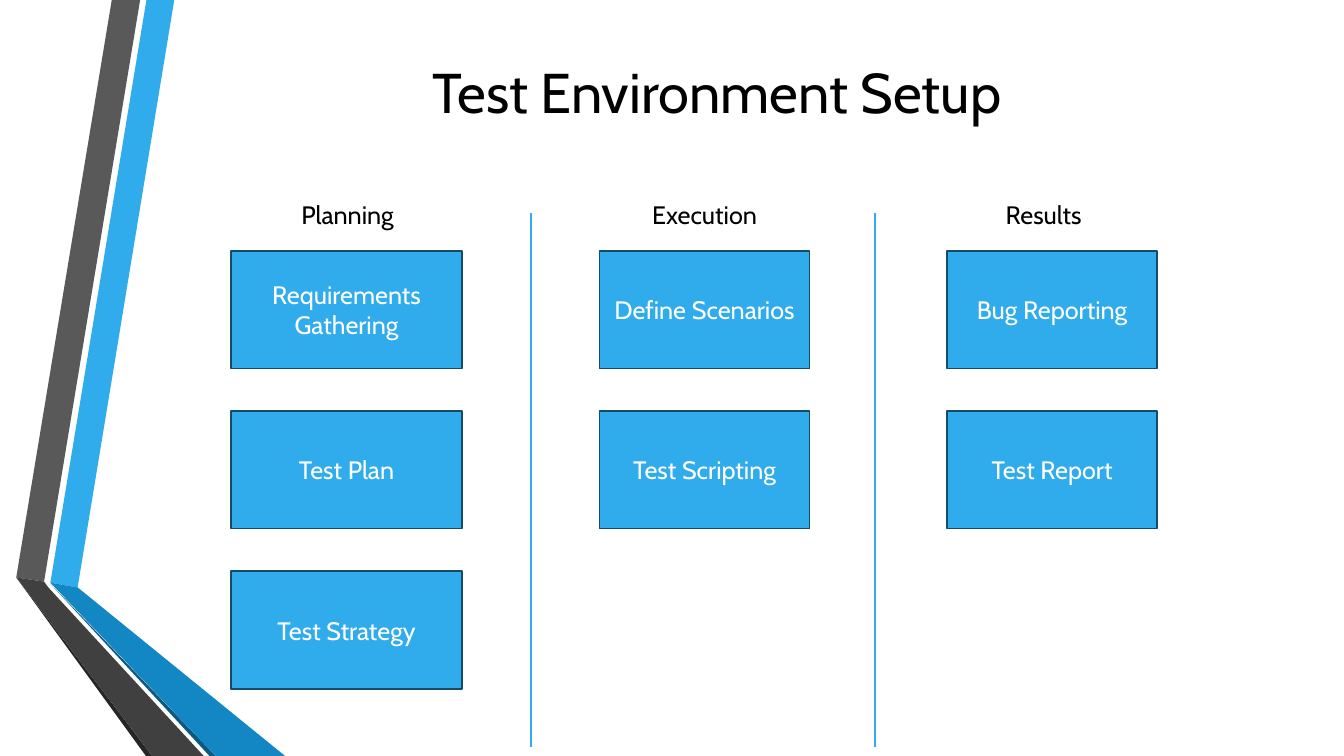
from pptx import Presentation
from pptx.dml.color import RGBColor
from pptx.enum.shapes import MSO_CONNECTOR, MSO_SHAPE
from pptx.enum.text import MSO_ANCHOR, PP_ALIGN
from pptx.oxml.ns import qn
from pptx.util import Emu, Pt
from lxml import etree

RECT = MSO_SHAPE.RECTANGLE
LINE = MSO_CONNECTOR.STRAIGHT
MIDDLE = MSO_ANCHOR.MIDDLE
CENTER = PP_ALIGN.CENTER

BLUE = RGBColor(0x30, 0xAC, 0xEC)
DEEP = RGBColor(0x12, 0x87, 0xC3)
NAVY = RGBColor(0x0C, 0x5A, 0x82)
EDGE = RGBColor(0x15, 0x4B, 0x67)
GREY = RGBColor(0x59, 0x59, 0x59)
COAL = RGBColor(0x40, 0x40, 0x40)
DARK = RGBColor(0x26, 0x26, 0x26)
BLACK = RGBColor(0, 0, 0)
WHITE = RGBColor(0xFF, 0xFF, 0xFF)

COLS, ROWS, UNIT = 128, 72, 95250

RIBBONS = [
    (BLUE, [(4.8, 55.5), (7.4, 55.95), (16.6, 0), (13.95, 0)]),
    (GREY, [(13.35, 0), (10.65, 0), (1.55, 55), (4.2, 55.4)]),
    (DARK, [(1.55, 55), (13.9, 72), (14.5, 72)]),
    (NAVY, [(4.8, 55.6), (19.95, 72), (20.55, 72)]),
    (DEEP, [(4.8, 55.5), (20.55, 72), (27.15, 72), (7.4, 55.95)]),
    (COAL, [(19.4, 72), (4.6, 55.95), (4.2, 55.4), (1.55, 55), (14.5, 72)]),
]

PHASES = [
    ("Planning", 33.1, 22, 22,
     ["Requirements Gathering", "Test Plan", "Test Strategy"]),
    ("Execution", 67.1, 57.1, 20, ["Define Scenarios", "Test Scripting"]),
    ("Results", 99.4, 90.2, 20, ["Bug Reporting", "Test Report"]),
]
RULES = [50.6, 83.35]
BOX_TOP, BOX_HIGH, BOX_STEP = 23.9, 11.2, 15.25


class Board:
    """Draws styled elements on one slide, measured in grid columns and rows."""

    def __init__(self, deck, font="Cabin", weight=1.25):
        self.slide = deck.slides.add_slide(deck.slide_layouts[5])
        self.shapes = self.slide.shapes
        self.font = font
        self.weight = Pt(weight)

    def grid(self, *units):
        return [Emu(round(unit * UNIT)) for unit in units]

    def letter(self, shape, text, size, color):
        frame = shape.text_frame
        frame.text = text
        frame.vertical_anchor = MIDDLE
        for par in frame.paragraphs:
            par.alignment = CENTER
            for run in par.runs:
                run.font.name = self.font
                run.font.size = Pt(size)
                run.font.color.rgb = color
        return frame

    def title(self, text, *area):
        shape = self.shapes.title
        shape.left, shape.top, shape.width, shape.height = self.grid(*area)
        self.letter(shape, text, 40, BLACK)

    def ribbon(self, color, points):
        spots = [self.grid(*point) for point in points]
        pen = self.shapes.build_freeform(*spots[0])
        pen.add_line_segments(spots[1:])
        shape = pen.convert_to_shape()
        shape.shadow.inherit = False
        shape.fill.solid()
        shape.fill.fore_color.rgb = color
        shape.line.fill.background()

    def box(self, text, *area):
        shape = self.shapes.add_shape(RECT, *self.grid(*area))
        shape.shadow.inherit = False
        shape.fill.solid()
        shape.fill.fore_color.rgb = BLUE
        shape.line.color.rgb = EDGE
        shape.line.width = self.weight
        self.letter(shape, text, 18, WHITE).word_wrap = True

    def rule(self, col, top, end):
        line = self.shapes.add_connector(LINE, *self.grid(col, top, col, end))
        line.line.color.rgb = BLUE
        line.line.width = self.weight
        etree.SubElement(line._element.spPr, qn("a:effectLst"))

    def label(self, text, mid, top, wide=12, high=3.85):
        area = self.grid(mid - wide / 2, top, wide, high)
        shape = self.shapes.add_textbox(*area)
        self.letter(shape, text, 18, BLACK).word_wrap = False


def main():
    deck = Presentation()
    deck.slide_width = Emu(COLS * UNIT)
    deck.slide_height = Emu(ROWS * UNIT)
    board = Board(deck)
    for color, points in RIBBONS:
        board.ribbon(color, points)
    board.title("Test Environment Setup", 15.65, 2.3, 105.2, 12.8)
    for name, mid, left, wide, steps in PHASES:
        board.label(name, mid, 18.45)
        for row, step in enumerate(steps):
            board.box(step, left, BOX_TOP + row * BOX_STEP, wide, BOX_HIGH)
    for col in RULES:
        board.rule(col, 20.25, 71.15)
    deck.save("out.pptx")


if __name__ == "__main__":
    main()
